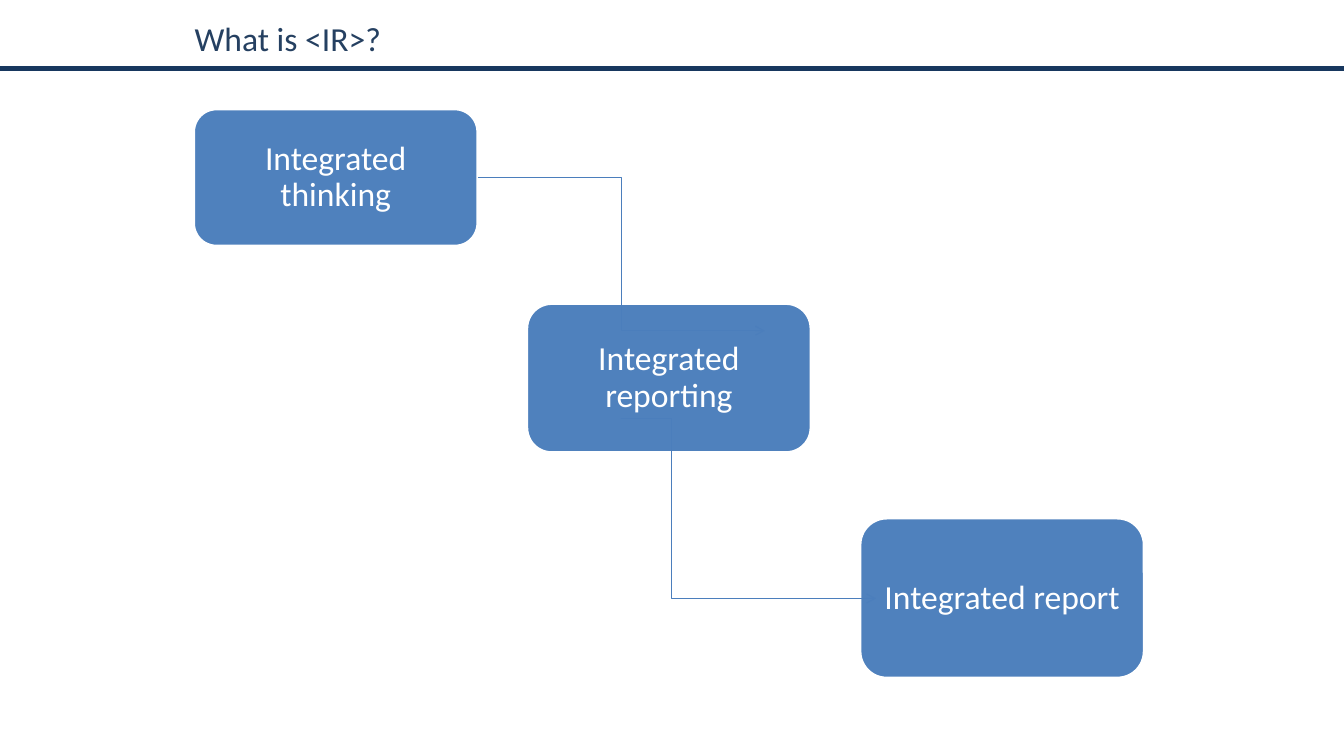
import dataclasses

import pptx
import pptx.dml.color
import pptx.enum.shapes
import pptx.enum.text
import pptx.oxml.ns
import pptx.oxml.xmlchemy
import pptx.util

Pt = pptx.util.Pt
RGB = pptx.dml.color.RGBColor
ALIGN = pptx.enum.text.PP_ALIGN
ANCHOR = pptx.enum.text.MSO_ANCHOR
CONNECTOR = pptx.enum.shapes.MSO_CONNECTOR


@dataclasses.dataclass(frozen=True)
class Theme:
    font: str = "Calibri"
    size: int = 24
    title: RGB = RGB(0x25, 0x40, 0x61)
    rule: RGB = RGB(0x17, 0x37, 0x5E)
    step: RGB = RGB(0x4F, 0x81, 0xBD)
    arrow: RGB = RGB(0x4B, 0x7E, 0xBC)
    white: RGB = RGB(0xFF, 0xFF, 0xFF)


THEME = Theme()
PAGE_WIDTH, PAGE_HEIGHT = 960, 540


def add_span(para, text, color):
    span = para.add_run()
    span.text = text
    span.font.name = THEME.font
    span.font.size = Pt(THEME.size)
    span.font.color.rgb = color


def set_margins(frame, side, end):
    frame.margin_left = frame.margin_right = Pt(side)
    frame.margin_top = frame.margin_bottom = Pt(end)


def add_element(parent, tag, **attributes):
    element = pptx.oxml.xmlchemy.OxmlElement(tag)
    for name, value in attributes.items():
        element.set(name, value)
    parent.append(element)


def add_line(page, kind, start, end, color, width):
    line = page.shapes.add_connector(kind, *(Pt(value) for value in start + end))
    line.line.color.rgb = color
    line.line.width = Pt(width)
    add_element(line._element.spPr, "a:effectLst")
    return line


def add_header(page, left, top, width, height):
    """Title with a full-width rule beneath it."""
    add_line(page, CONNECTOR.STRAIGHT, (0, 49), (PAGE_WIDTH, 49), THEME.rule, 3)
    title = page.shapes.title
    title.left, title.top = Pt(left), Pt(top)
    title.width, title.height = Pt(width), Pt(height)
    frame = title.text_frame
    frame.word_wrap = True
    frame.auto_size = pptx.enum.text.MSO_AUTO_SIZE.NONE
    frame.vertical_anchor = ANCHOR.TOP
    set_margins(frame, 7.2, 3.6)
    para = frame.paragraphs[0]
    para.alignment = ALIGN.LEFT
    add_span(para, "What is <IR>?", THEME.title)


def add_step(page, text, left, top, width, height):
    box = page.shapes.add_shape(
        pptx.enum.shapes.MSO_SHAPE.ROUNDED_RECTANGLE,
        Pt(left), Pt(top), Pt(width), Pt(height))
    box.shadow.inherit = False
    box.fill.solid()
    box.fill.fore_color.rgb = THEME.step
    box.line.color.rgb = THEME.white
    box.line.width = Pt(2)
    frame = box.text_frame
    frame.word_wrap = True
    frame.vertical_anchor = ANCHOR.MIDDLE
    set_margins(frame, 11.3, 8)
    para = frame.paragraphs[0]
    para.alignment = ALIGN.CENTER
    para.line_spacing = 0.9
    add_span(para, text, THEME.white)


def add_elbow(page, start, end, bend):
    """Elbow arrow that turns at the given share of its width."""
    elbow = add_line(page, CONNECTOR.ELBOW, start, end, THEME.arrow, 0.75)
    guides = elbow._element.spPr.find(".//" + pptx.oxml.ns.qn("a:avLst"))
    add_element(guides, "a:gd", name="adj1", fmla=f"val {round(bend * 100000)}")
    add_element(elbow.get_or_add_ln(), "a:tailEnd", type="arrow")


def add_staircase(page, left, top):
    """Three steps going down to the right, linked by elbow arrows."""
    width, stride = 203, 238
    steps = [("Integrated thinking", 0, 98),
             ("Integrated reporting", 139, 106.5),
             ("Integrated report", 292.3, 114.3)]
    for index, (text, drop, height) in enumerate(steps):
        add_step(page, text, left + index * stride, top + drop, width, height)
    # Each arrow: start, end and bend, measured from the staircase corner
    arrows = [((width, 49), (408, 158.4), 0.5),
              ((305.2, 221), (487.4, 349.7), 0.2)]
    for start, end, bend in arrows:
        add_elbow(page, (left + start[0], top + start[1]),
                  (left + end[0], top + end[1]), bend)


def main():
    deck = pptx.Presentation()
    deck.slide_width, deck.slide_height = Pt(PAGE_WIDTH), Pt(PAGE_HEIGHT)
    page = deck.slides.add_slide(deck.slide_layouts.get_by_name("Title Only"))
    add_header(page, 131.8, 9.4, 387.4, 36)
    add_staircase(page, 138.3, 77.8)
    deck.save("out.pptx")


if __name__ == "__main__":
    main()
